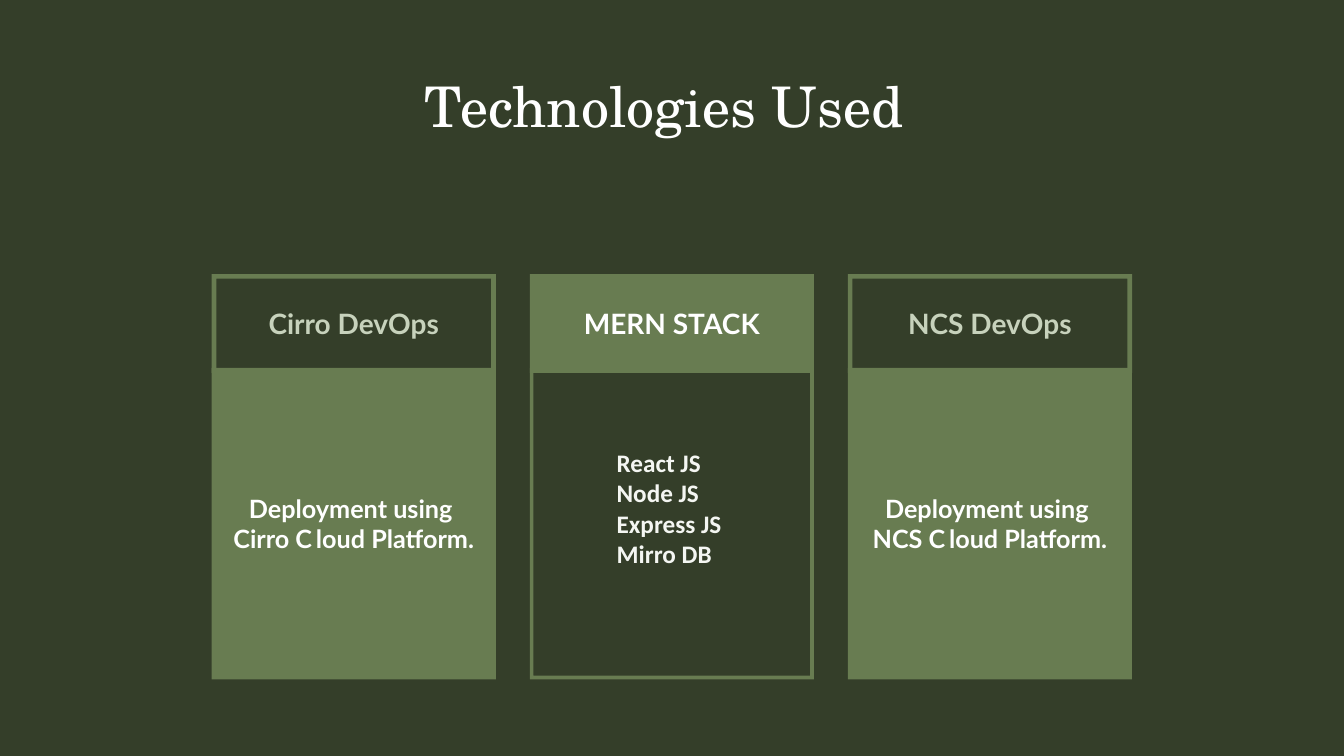
from pptx import Presentation
from pptx.dml.color import RGBColor
from pptx.enum.shapes import MSO_SHAPE
from pptx.enum.text import MSO_ANCHOR, PP_ALIGN
from pptx.util import Pt

FRAME, RECTANGLE = MSO_SHAPE.FRAME, MSO_SHAPE.RECTANGLE
CENTER, LEFT = PP_ALIGN.CENTER, PP_ALIGN.LEFT
MIDDLE, TOP = MSO_ANCHOR.MIDDLE, MSO_ANCHOR.TOP

DARK, GREEN, PALE, WHITE, OFF_WHITE = "343E29", "687C51", "C7D2BC", "FFFFFF", "F4F6F2"

CARD_LEFT, CARD_PITCH, CARD_WIDTH = 151.2, 227.2, 203
HEAD_TOP, HEAD_HEIGHT = 195.8, 70.5
BODY_TOP, BODY_HEIGHT = 262.8, 222.5
LABEL_INSET, LABEL_TOP, LABEL_HEIGHT = 16.4, 218.9, 24


def color(value):
    return RGBColor.from_string(value)


class SlideBuilder:
    def __init__(self, slide, font):
        self.slide = slide
        self.font = font
        slide.background.fill.solid()
        slide.background.fill.fore_color.rgb = color(DARK)

    def set_lines(self, shape, lines, size, ink, bold=True, font=None,
                  align=CENTER, anchor=MIDDLE, inset=0, wrap=True):
        """Each line is a list of text runs; a blank run is a narrow gap."""
        frame = shape.text_frame
        frame.word_wrap = wrap
        frame.vertical_anchor = anchor
        frame.margin_left = frame.margin_right = Pt(inset)
        frame.margin_top = frame.margin_bottom = Pt(inset / 2)
        for index, line in enumerate(lines):
            paragraph = frame.paragraphs[0] if index == 0 else frame.add_paragraph()
            paragraph.alignment = align
            for text in line:
                run = paragraph.add_run()
                run.text = text
                run.font.name = font or self.font
                run.font.size = Pt(size if text.strip() else 11)
                run.font.bold = bold
                run.font.color.rgb = color(ink)

    def title(self, text, left, top, width, height):
        title = self.slide.shapes.title
        title.left, title.top = Pt(left), Pt(top)
        title.width, title.height = Pt(width), Pt(height)
        self.set_lines(title, [[text]], 40, WHITE, bold=False, font="TeX Gyre Schola")
        title.text_frame.paragraphs[0].line_spacing = Pt(44)

    def panel(self, kind, left, top, height, border=None):
        panel = self.slide.shapes.add_shape(
            kind, Pt(left), Pt(top), Pt(CARD_WIDTH), Pt(height))
        if border is not None:
            panel.adjustments[0] = border
        panel.shadow.inherit = False
        panel.fill.solid()
        panel.fill.fore_color.rgb = color(GREEN)
        panel.line.fill.background()
        return panel

    def text(self, lines, left, top, width, height, size, ink, **style):
        box = self.slide.shapes.add_textbox(Pt(left), Pt(top), Pt(width), Pt(height))
        self.set_lines(box, lines, size, ink, **style)

    def card_label(self, text, left, ink):
        self.text([[text]], left + LABEL_INSET, LABEL_TOP,
                  CARD_WIDTH - 2 * LABEL_INSET, LABEL_HEIGHT, 20, ink)

    def deployment_card(self, left, heading, platform):
        self.panel(FRAME, left, HEAD_TOP, HEAD_HEIGHT, border=0.047)
        body = self.panel(RECTANGLE, left, BODY_TOP, BODY_HEIGHT)
        self.set_lines(body, [["Deployment using "], [platform + " C", " ", "loud Platform."]],
                       18, WHITE, inset=7.2)
        self.card_label(heading, left, PALE)

    def stack_card(self, left, heading, tools):
        self.panel(FRAME, left, BODY_TOP, BODY_HEIGHT, border=0.013)
        self.panel(RECTANGLE, left, HEAD_TOP, HEAD_HEIGHT)
        self.card_label(heading, left, WHITE)
        self.text([[tool] for tool in tools], left + 55, 316, 94.3, 94.3, 18, OFF_WHITE,
                  font="Calibri", align=LEFT, anchor=TOP, inset=7.2, wrap=False)


def main():
    deck = Presentation()
    deck.slide_width, deck.slide_height = Pt(960), Pt(540)
    builder = SlideBuilder(deck.slides.add_slide(deck.slide_layouts[5]), "Lato")

    # Title
    builder.title("Technologies Used ", CARD_LEFT, 54.7, 657.4, 44.6)

    # Three cards at an equal pitch
    first, second, third = (CARD_LEFT + CARD_PITCH * i for i in range(3))
    builder.stack_card(second, "MERN STACK",
                       ["React JS", "Node JS", "Express JS", "Mirro DB"])
    builder.deployment_card(first, "Cirro DevOps", "Cirro")
    builder.deployment_card(third, "NCS DevOps", "NCS")

    deck.save("out.pptx")


if __name__ == "__main__":
    main()
